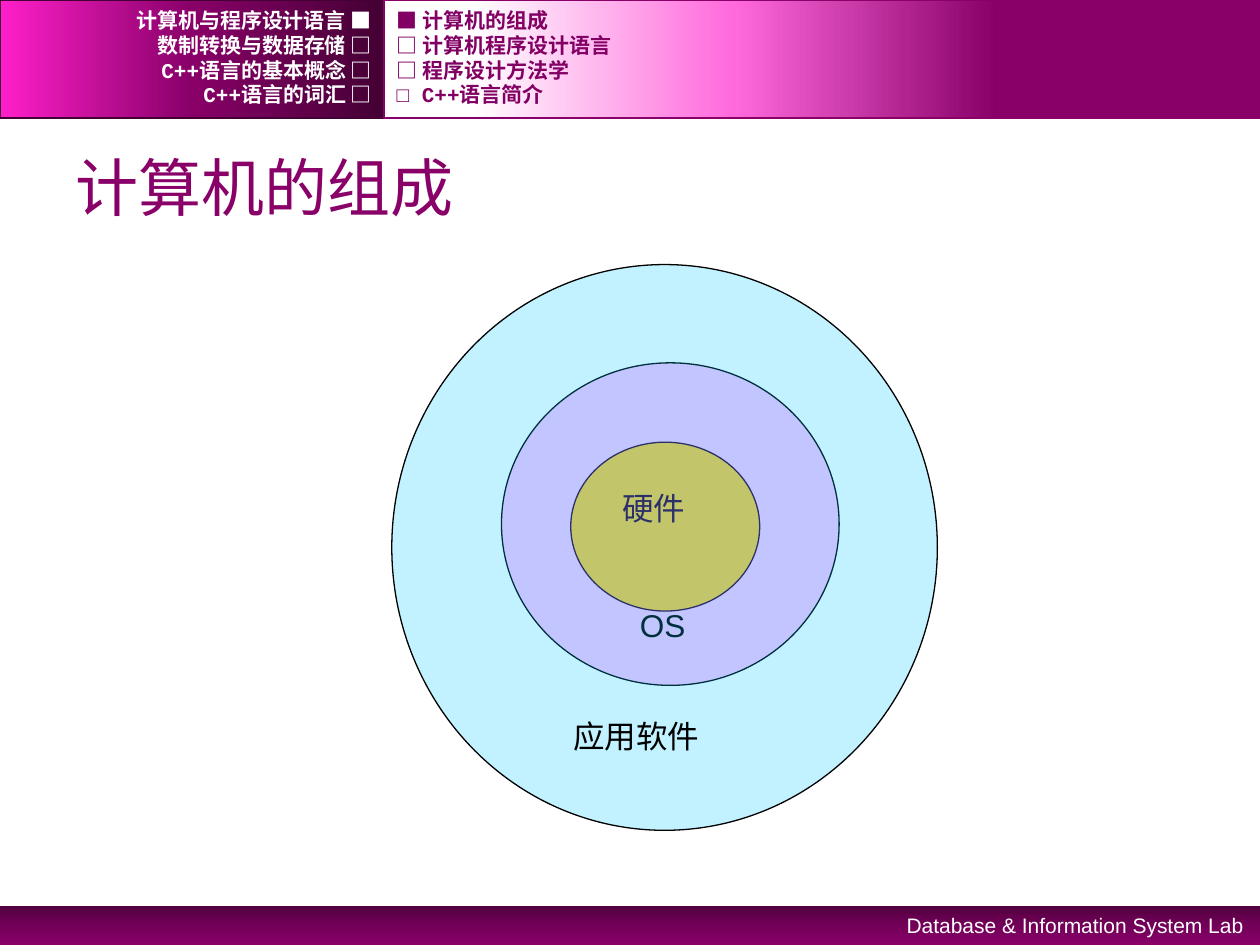
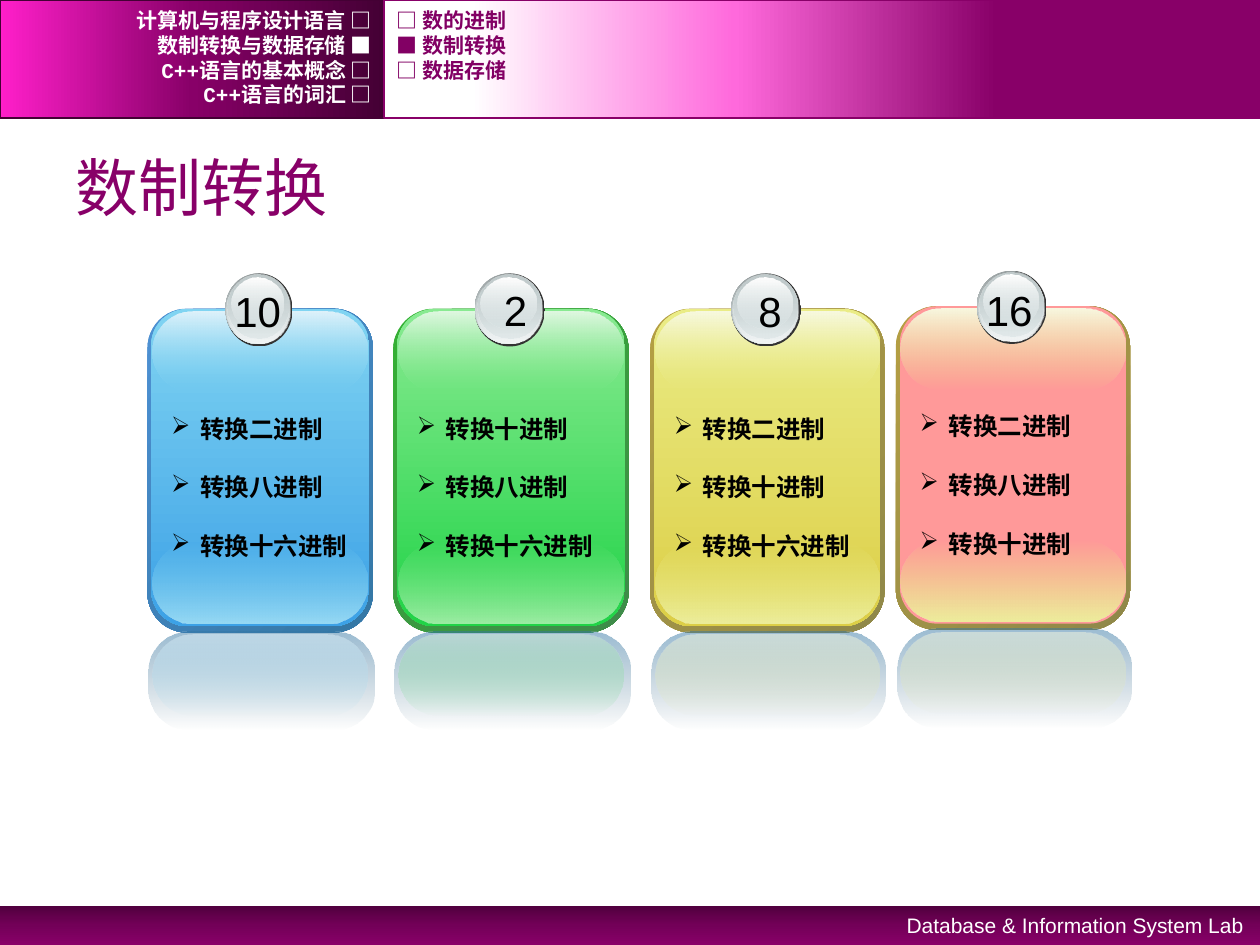
from dataclasses import dataclass

from pptx import Presentation, util as u
from pptx.dml.color import RGBColor
from pptx.enum import shapes, text
from pptx.oxml import parse_xml
from pptx.oxml.ns import nsdecls, qn

# Shared style
PLUM, DARK_PLUM, NAV_PLUM = "880068", "440034", "820064"
WHITE, BLACK = "FFFFFF", "000000"
BAND_H, SPLIT = 0.94, 3.05
FOOTER_TOP = 7.19
FOOTER = "Database & Information System Lab"
CHAPTERS = ["计算机与程序设计语言", "数制转换与数据存储", "C++语言的基本概念", "C++语言的词汇"]

RECT = shapes.MSO_SHAPE.RECTANGLE
ROUND = shapes.MSO_SHAPE.ROUNDED_RECTANGLE
OVAL = shapes.MSO_SHAPE.OVAL
LEFT, CENTER, RIGHT = text.PP_ALIGN.LEFT, text.PP_ALIGN.CENTER, text.PP_ALIGN.RIGHT


@dataclass
class Card:
    left: float
    width: float
    number: str
    number_box: tuple  # left, top, width
    targets: list
    edge: tuple
    body: tuple
    pale: str
    tint: str
    low: str
    mirror: tuple
    top: float = 2.45


YELLOW_GLOSS = dict(edge=("B59F43", "8F8849"), pale="F8F9E0", tint="EAEC86",
                    low="EDEE9C", mirror=("F8F9E0", "EAEC86"))
CARDS = [
    Card(1.17, 1.79, "10", (1.74, 2.22, 0.61), ["二", "八", "十六"],
         edge=("4E91D4", "3477A4"), body=("80D4F2", "3CA1E6"), pale="DFF2FB",
         tint="80D4F2", low="97DAF4", mirror=("DFF2FB", "80D4F2")),
    Card(3.12, 1.87, "2", (3.9, 2.21, 0.31), ["十", "八", "十六"],
         edge=("34B034", "3F8B4A"), body=("88EA91", "21D347"), pale="E0F8E2",
         tint="88EA91", low="9DEDA4", mirror=("D6F1D8", "21D347")),
    Card(5.16, 1.86, "8", (5.92, 2.22, 0.3), ["二", "十", "十六"],
         body=("EAEC86", "DCCE46"), **YELLOW_GLOSS),
    Card(7.11, 1.86, "16", (7.71, 2.21, 0.6), ["二", "八", "十"],
         body=("FF9999", "FF9999"), top=2.43, **YELLOW_GLOSS),
]

# Badge layers: left and top offsets, width change, height, start and end colours
BADGE = [
    (0, 0, 0, 0.58, "333333", "333333"),
    (0, 0, -0.02, 0.56, "99A1A2", "D6E1E2"),
    (0.01, 0.01, -0.03, 0.55, ("D6E1E2", 0), "F2F5F5"),
    (0.02, 0.01, -0.05, 0.51, "C1CBCC", ("D6E1E2", 48)),
    (0.05, 0.03, -0.12, 0.41, "FFFFFF", ("D6E1E2", 38)),
]


def rgb(value):
    return RGBColor.from_string(value)


def color_xml(color):
    """Colour element for a hex string or a (hex, opacity percent) pair."""
    value, alpha = (color, 100) if isinstance(color, str) else color
    return f'<a:srgbClr val="{value}"><a:alpha val="{alpha * 1000}"/></a:srgbClr>'


def paint(sp, stops, angle=90):
    """Fill with one colour, or with a gradient of (position, colour) stops."""
    if len(stops) == 1:
        xml = f'<a:solidFill {nsdecls("a")}>{color_xml(stops[0][1])}</a:solidFill>'
    else:
        marks = "".join(f'<a:gs pos="{pos * 1000}">{color_xml(c)}</a:gs>' for pos, c in stops)
        xml = (f'<a:gradFill {nsdecls("a")} rotWithShape="1"><a:gsLst>{marks}</a:gsLst>'
               f'<a:lin ang="{angle * 60000}" scaled="0"/></a:gradFill>')
    sp.fill.background()
    props = sp._element.spPr
    props.replace(props.find(qn("a:noFill")), parse_xml(xml))


def add_shape(parent, kind, box, stops, angle=90, line=None, weight=0.75, corner=None):
    sp = parent.shapes.add_shape(kind, *map(u.Inches, box))
    sp.shadow.inherit = False
    if corner is not None:
        sp.adjustments[0] = corner
    paint(sp, stops, angle)
    if line:
        sp.line.color.rgb = rgb(line)
        sp.line.width = u.Pt(weight)
    else:
        sp.line.fill.background()
    return sp


def style(p, size, color, font="Arial", bold=False, align=LEFT):
    p.alignment = align
    p.font.name, p.font.size, p.font.bold = font, u.Pt(size), bold
    p.font.color.rgb = rgb(color)


def add_text(s, box, lines, size, color, anchor=text.MSO_ANCHOR.TOP, **kw):
    tf = s.shapes.add_textbox(*map(u.Inches, box)).text_frame
    tf.word_wrap = True
    tf.vertical_anchor = anchor
    for i, line in enumerate(lines):
        p = tf.add_paragraph() if i else tf.paragraphs[0]
        p.text = line
        style(p, size, color, **kw)
    return tf


def add_bullet(p, mark, indent):
    props = p._p.get_or_add_pPr()
    props.set("marL", str(u.Inches(indent)))
    props.set("indent", str(-u.Inches(indent)))
    font = props.find(qn("a:defRPr"))
    bullet = parse_xml(f'<a:buChar {nsdecls("a")} char="{mark}"/>')
    if font is None:
        props.append(bullet)
    else:
        font.addprevious(bullet)


def add_nav(s, left, width, items, current, color, align):
    """One row per item, with a filled box beside the current one."""
    for i, item in enumerate(items):
        mark = "■" if i == current else "□"
        label = f"{item} {mark}" if align == RIGHT else f"{mark} {item}"
        add_text(s, (left, 0.06 + 0.197 * i, width, 0.2), [label], 12, color,
                 anchor=text.MSO_ANCHOR.MIDDLE, font="Courier New", bold=True, align=align)


def add_page(prs, title, chapter, sections, section):
    s = prs.slides.add_slide(prs.slide_layouts[5])
    # Bands
    add_shape(s, RECT, (0, FOOTER_TOP, 10, 0.31), [(0, "51003E"), (50, "730058"), (100, PLUM)])
    add_shape(s, RECT, (0, 0, SPLIT, BAND_H),
              [(0, DARK_PLUM), (50, PLUM), (100, "FF1FCA")], 180, DARK_PLUM, 1)
    add_shape(s, RECT, (SPLIT, 0, 10 - SPLIT, BAND_H),
              [(30, PLUM), (60, "FF69DC"), (90, WHITE)], 180, PLUM, 1)
    add_text(s, (6.42, FOOTER_TOP, 3.55, 0.3), [FOOTER], 12, WHITE, align=RIGHT)
    # Navigation
    add_nav(s, 0, SPLIT, CHAPTERS, chapter, WHITE, RIGHT)
    add_nav(s, SPLIT, 6.02, sections, section, NAV_PLUM, LEFT)
    # Title
    sp = s.shapes.title
    sp.left, sp.top, sp.width, sp.height = map(u.Inches, (0.5, 1.09, 9, 0.78))
    tf = sp.text_frame
    tf.text = title
    tf.auto_size = text.MSO_AUTO_SIZE.NONE
    tf.vertical_anchor = text.MSO_ANCHOR.MIDDLE
    style(tf.paragraphs[0], 36, PLUM)
    return s


def add_ring(s, box, fill, label, label_box):
    add_shape(s, OVAL, box, [(0, fill)], line=BLACK)
    add_text(s, label_box, [label], 18, BLACK)


def add_card(s, card):
    group = s.shapes.add_group_shape()
    clear = (card.tint, 0)
    # Panel layers: inset, top offset, width change, height, corner, colours, angle
    panel = [
        (0, 0, 0, 2.57, 0.175, card.edge, 45),
        (0.03, 0, -0.06, 2.52, 0.167, card.body, 90),
        (0.04, 1.86, -0.08, 0.64, 0.5, (clear, card.low), 90),
        (0.04, 0.02, -0.08, 0.64, 0.5, (card.pale, clear), 90),
        (0.01, 2.56, 0, 0.78, 0.404, (("3477A4", 50), ("255575", 0)), 90),
        (0.04, 2.59, -0.08, 0.64, 0.5, ((card.mirror[0], 50), (card.mirror[1], 0)), 90),
    ]
    for dx, dy, dw, h, corner, (start, end), angle in panel:
        add_shape(group, ROUND, (card.left + dx, card.top + dy, card.width + dw, h),
                  [(0, start), (100, end)], angle, corner=corner)
    # Number badge
    left, width = card.left + 0.346 * card.width, 0.298 * card.width
    for dx, dy, dw, h, start, end in BADGE:
        add_shape(group, OVAL, (left + dx, card.top - 0.28 + dy, width + dw, h),
                  [(0, start), (100, end)])
    add_text(s, (*card.number_box, 0.5), [card.number], 24, BLACK, align=CENTER)
    # Conversions
    tf = add_text(s, (card.left + 0.09, card.top + 0.55, card.width - 0.09, 1.44),
                  [f"转换{base}进制" for base in card.targets], 14, BLACK,
                  font="DejaVu Sans", bold=True)
    for p in tf.paragraphs:
        p.line_spacing = 2.0
        add_bullet(p, "➢", 0.23)


def main():
    prs = Presentation()
    prs.slide_width, prs.slide_height = u.Inches(10), u.Inches(7.5)

    # Layers of a computer
    s = add_page(prs, "计算机的组成", 0,
                 ["计算机的组成", "计算机程序设计语言", "程序设计方法学", "C++语言简介"], 0)
    add_ring(s, (4.53, 3.51, 1.5, 1.34), "FFFF00", "硬件", (4.84, 3.83, 1.18, 0.58))
    add_ring(s, (3.98, 2.88, 2.68, 2.56), ("FF00FF", 23), "OS", (4.98, 4.76, 1.42, 0.58))
    add_ring(s, (3.11, 2.1, 4.33, 4.49), ("00CCFF", 24), "应用软件", (4.45, 5.64, 2.13, 0.58))

    # Number base conversion
    s = add_page(prs, "数制转换", 1, ["数的进制", "数制转换", "数据存储"], 1)
    for card in CARDS:
        add_card(s, card)

    prs.save("out.pptx")


if __name__ == "__main__":
    main()
